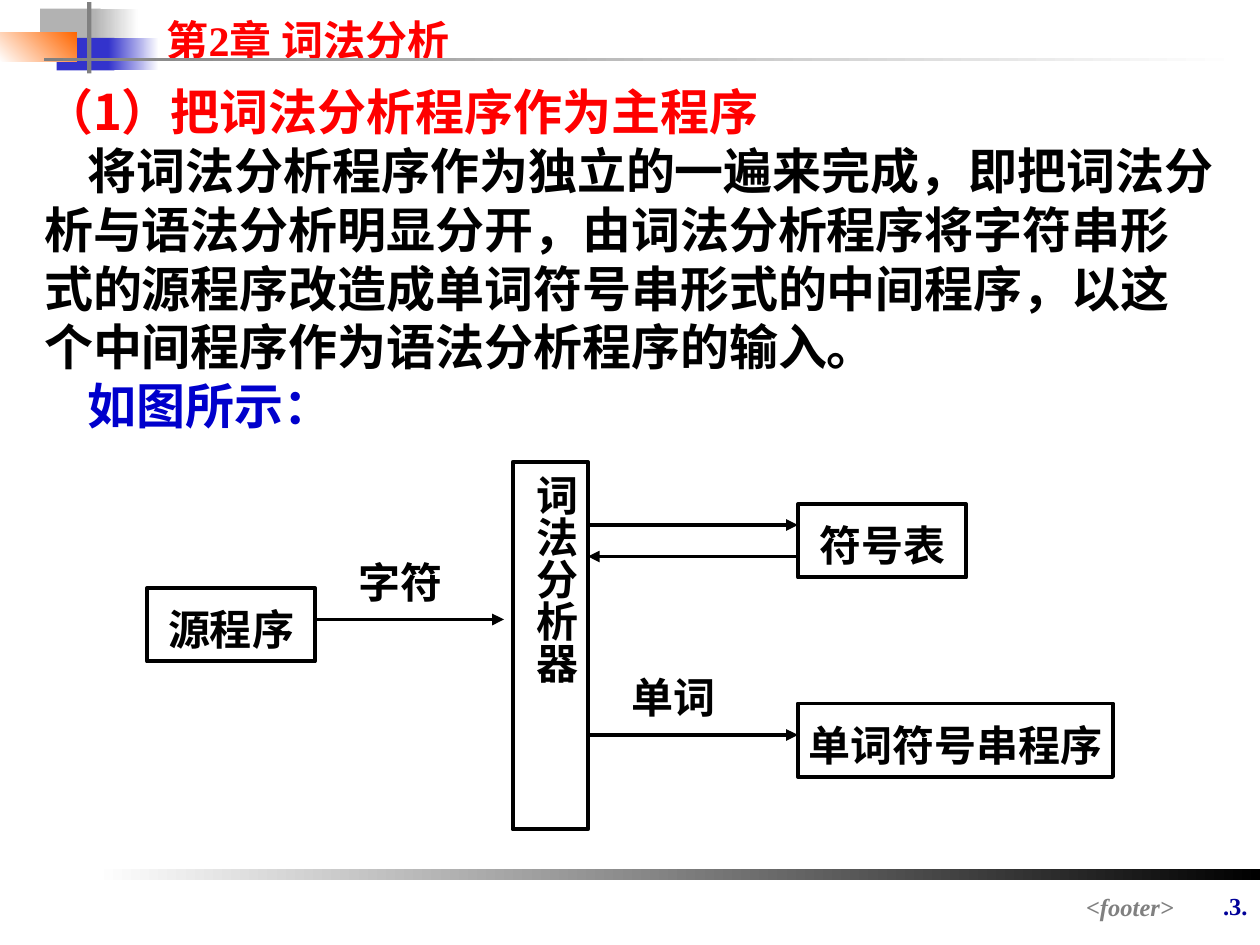
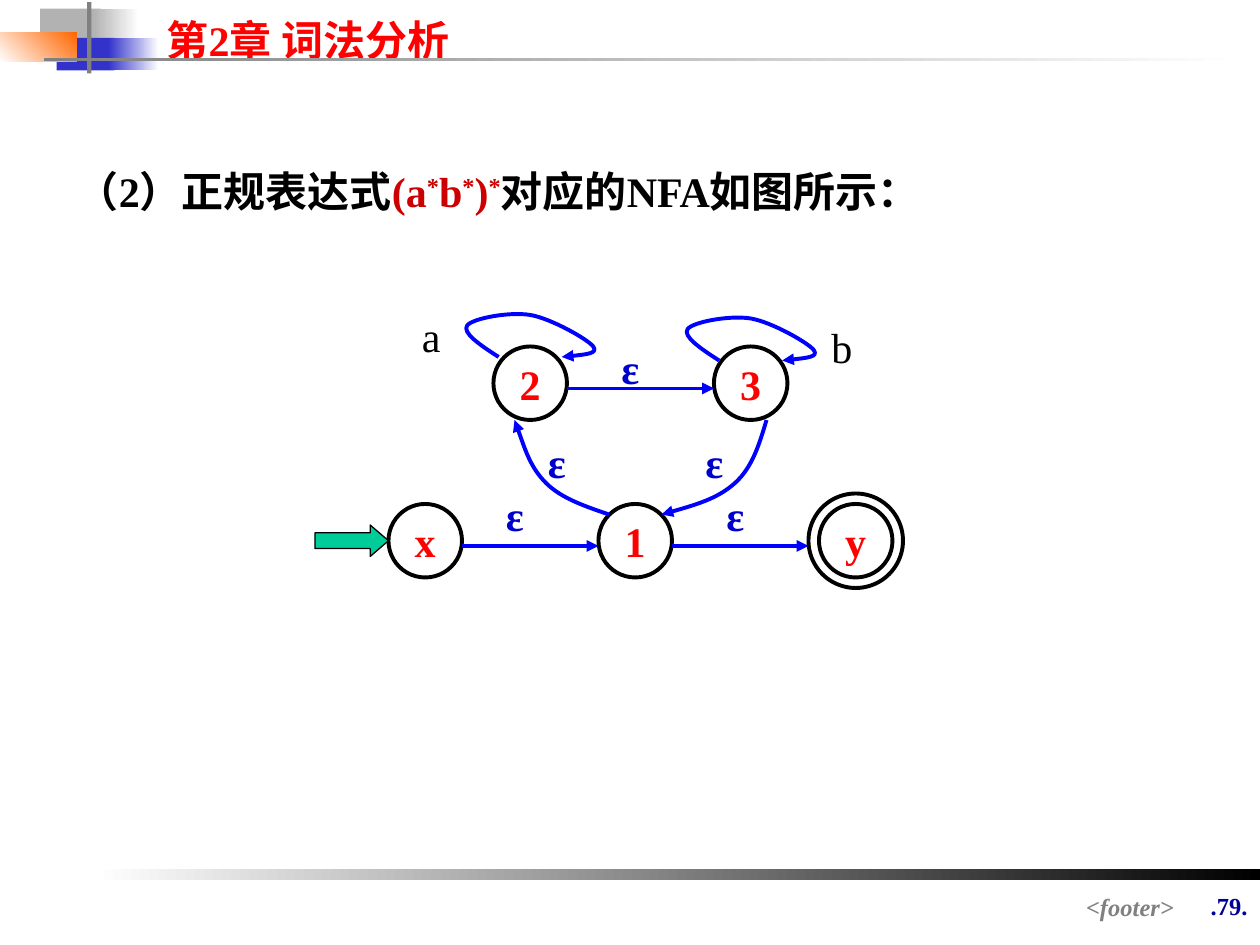
from pptx import Presentation
from pptx import util as u
from pptx.dml import color
from pptx.enum import shapes, text
from pptx.oxml import ns
from lxml import etree

COLORS = {
    "black": "000000", "white": "FFFFFF", "red": "FF0000", "dark red": "CC0000",
    "blue": "0000FF", "ink blue": "0000CC", "navy": "000099", "indigo": "3333CC",
    "orange": "FF6600", "gray": "808080", "silver": "B2B2B2", "green": "00CC99",
}
LATIN = "Times New Roman"
CHINESE = "Noto Sans CJK SC"
SHAPE = shapes.MSO_SHAPE
ALIGN = text.PP_ALIGN
ANCHOR = text.MSO_ANCHOR


def rgb(name):
    return color.RGBColor.from_string(COLORS[name])


def area(left, top, width, height):
    return [u.Pt(value) for value in (left, top, width, height)]


def add_xml(parent, tag, **attributes):
    return etree.SubElement(parent, ns.qn(tag), attributes)


def set_outline(shape, name, width=2.25):
    shape.line.color.rgb = rgb(name)
    shape.line.width = u.Pt(width)


def add_arrowhead(shape):
    line = shape.element.spPr.find(ns.qn("a:ln"))
    add_xml(line, "a:tailEnd", type="triangle")


def write_para(para, spans, name, size=24, align=ALIGN.LEFT, bold=True,
               italic=False, font=LATIN, indent=0):
    para.alignment = align
    para.line_spacing = u.Pt(size * 1.2)
    para.space_before = u.Pt(0)
    properties = para._p.get_or_add_pPr()
    properties.set("marL", "0")
    properties.set("indent", str(u.Pt(indent)))
    add_xml(properties, "a:buNone")
    para.font.size = u.Pt(size)
    para.font.bold = bold
    para.font.italic = italic
    para.font.color.rgb = rgb(name)
    para.font.name = font
    add_xml(properties.find(ns.qn("a:defRPr")), "a:ea", typeface=CHINESE)
    for words, span_color, raised in spans:
        span = para.add_run()
        span.text = words
        if span_color:
            span.font.color.rgb = rgb(span_color)
        if raised:
            span.font._element.set("baseline", "30000")


def set_frame(box, anchor=ANCHOR.TOP, wrap=True, drop=0):
    frame = box.text_frame
    frame.auto_size = text.MSO_AUTO_SIZE.NONE
    frame.word_wrap = wrap
    frame.vertical_anchor = anchor
    frame.margin_left = frame.margin_right = u.Pt(7.2)
    frame.margin_top = u.Pt(3.6 + drop)
    frame.margin_bottom = u.Pt(3.6 - drop)
    return frame


def add_label(page, place, words, name="black", drop=0, **style):
    box = page.shapes.add_textbox(*area(*place))
    frame = set_frame(box, drop=drop)
    write_para(frame.paragraphs[0], [(words, None, False)], name, **style)


def fill_placeholder(box, place, drop):
    box.left, box.top, box.width, box.height = area(*place)
    return set_frame(box, drop=drop)


def add_band(page, place, start, end=None, angle=180):
    band = page.shapes.add_shape(SHAPE.RECTANGLE, *area(*place))
    band.shadow.inherit = False
    band.line.fill.background()
    if end is None:
        band.fill.solid()
        band.fill.fore_color.rgb = rgb(start)
        return
    band.fill.gradient()
    band.fill.gradient_angle = angle
    for stop, name, position in zip(band.fill.gradient_stops, (start, end), (0, 1)):
        stop.color.rgb = rgb(name)
        stop.position = position


def add_node(page, kind, place, words="", name="black", drop=0):
    node = page.shapes.add_shape(kind, *area(*place))
    node.shadow.inherit = False
    node.fill.background()
    set_outline(node, "black")
    if words:
        frame = set_frame(node, ANCHOR.MIDDLE, False, drop)
        write_para(frame.paragraphs[0], [(words, None, False)], name, align=ALIGN.CENTER)
    return node


def add_arrow(page, start_x, end_x, y, name):
    arrow = page.shapes.add_connector(
        shapes.MSO_CONNECTOR.STRAIGHT, *area(start_x, y, end_x, y))
    set_outline(arrow, name)
    add_arrowhead(arrow)
    add_xml(arrow.element.spPr, "a:effectLst")


def add_curve(page, points, shift=(0, 0)):
    points = [(u.Pt(x + shift[0]), u.Pt(y + shift[1])) for x, y in points]
    builder = page.shapes.build_freeform(*points[0])
    builder.add_line_segments(points[1:], close=False)
    curve = builder.convert_to_shape()
    outline = curve.element.find(".//" + ns.qn("a:path"))
    segments = outline.findall(ns.qn("a:lnTo"))
    for first in range(0, len(segments), 3):
        bezier = add_xml(outline, "a:cubicBezTo")
        for segment in segments[first:first + 3]:
            bezier.append(segment[0])
            outline.remove(segment)
    curve.shadow.inherit = False
    curve.fill.background()
    set_outline(curve, "blue")
    add_arrowhead(curve)


def add_page(deck, number):
    page = deck.slides.add_slide(deck.slide_layouts[1])
    add_band(page, (23, 5, 34.5, 18.7), "silver")
    add_band(page, (53.3, 5, 26, 18.7), "white", "silver")
    add_band(page, (32.4, 21.6, 33, 18.7), "indigo")
    add_band(page, (62, 21.6, 28.8, 18.7), "white", "indigo")
    add_band(page, (0, 18.5, 44, 16.8), "orange", "white", 225)
    add_band(page, (49.8, 1.2, 2.4, 40.8), "gray")
    add_band(page, (25.2, 33.1, 684.7, 2), "white", "gray")
    add_band(page, (54, 496.8, 666, 5.8), "black", "white")
    title = fill_placeholder(page.shapes.title, (88, 2.2, 227, 36), 2.4)
    write_para(title.paragraphs[0], [("第2章 词法分析", None, False)], "red")
    add_label(page, (672, 505.4, 48, 34), f".{number}.", "navy",
              size=14, align=ALIGN.RIGHT)
    add_label(page, (190, 506.2, 488, 19), "<footer>", "gray",
              size=14, align=ALIGN.RIGHT, italic=True)
    return page


def build_main_program_page(deck):
    page = add_page(deck, 3)
    frame = fill_placeholder(page.placeholders[1], (18, 40.3, 684, 209), 2.8)
    paragraphs = [
        ("（1）把词法分析程序作为主程序", "red", 0),
        ("将词法分析程序作为独立的一遍来完成，即把词法分析与语法分析明显分开，"
         "由词法分析程序将字符串形式的源程序改造成单词符号串形式的中间程序，"
         "以这个中间程序作为语法分析程序的输入。", "black", 25),
        ("如图所示：", "ink blue", 25),
    ]
    for index, (words, name, indent) in enumerate(paragraphs):
        para = frame.add_paragraph() if index else frame.paragraphs[0]
        write_para(para, [(words, None, False)], name, size=28,
                   font=CHINESE, indent=indent)

    for words, left, top, width in [("源程序", 84, 336, 96), ("符号表", 456, 288, 96),
                                    ("单词符号串程序", 456, 402, 180)]:
        add_node(page, SHAPE.RECTANGLE, (left, top, width, 42), words, drop=2.4)

    analyser = add_node(page, SHAPE.RECTANGLE, (293, 264, 43, 210), "词法分析器")
    column = set_frame(analyser)
    column.margin_left = column.margin_right = u.Pt(3.6)
    column.margin_top = column.margin_bottom = u.Pt(7.2)
    column._txBody.bodyPr.set("vert", "eaVert")

    for start_x, end_x, y in [(180, 288, 354), (336, 456, 300),
                              (456, 336, 318), (336, 456, 420)]:
        add_arrow(page, start_x, end_x, y, "black")
    for words, left, top in [("字符", 198, 312), ("单词", 354, 378)]:
        add_label(page, (left, top, 72, 36), words, drop=2.4)


def build_nfa_page(deck):
    page = add_page(deck, 79)
    frame = fill_placeholder(page.placeholders[1], (36.7, 88.6, 643, 36), 2.4)
    expression = [(mark, "dark red", mark == "*") for mark in ("(a", "*", "b", "*", ")", "*")]
    spans = [("（2）正规表达式", None, False), *expression,
             ("对应的NFA如图所示：", None, False)]
    write_para(frame.paragraphs[0], spans, "black")

    for words, left, top in [("x", 222, 288), ("1", 342, 288), ("y", 468, 288),
                             ("2", 282, 198), ("3", 408, 198)]:
        add_node(page, SHAPE.OVAL, (left, top, 42, 42), words, "red")
    add_node(page, SHAPE.OVAL, (462, 282, 54, 54))

    entry = add_node(page, SHAPE.RIGHT_ARROW, (180, 300, 42, 18))
    entry.adjustments[1] = 0.58
    entry.fill.solid()
    entry.fill.fore_color.rgb = rgb("green")
    set_outline(entry, "black", 0.75)

    for start_x, end_x, y in [(264, 342, 312), (384, 462, 312), (324, 408, 222)]:
        add_arrow(page, start_x, end_x, y, "blue")
    loop = [(285, 204), (274, 197), (264, 190), (267, 186), (270, 182), (291, 178),
            (303, 180), (315, 182), (336, 194), (339, 198), (342, 202), (331.5, 203),
            (321, 204)]
    add_curve(page, loop)
    add_curve(page, loop, shift=(126, 2))
    add_curve(page, [(348, 294), (335, 289.5), (321, 285), (312, 276),
                     (303, 267), (299, 253.5), (294, 240)])
    add_curve(page, [(438, 240), (434, 253.5), (430, 267), (420, 276),
                     (410, 285), (394, 289.5), (378, 294)])

    for left, top in [(282, 276), (408, 276), (306, 246), (348, 192), (396, 246)]:
        add_label(page, (left, top, 30, 36), "ε", "ink blue")
    for words, left, top in [("a", 234, 174), ("b", 468, 180)]:
        add_label(page, (left, top, 30, 36), words, bold=False)


def main():
    deck = Presentation()
    deck.slide_width, deck.slide_height = u.Pt(720), u.Pt(540)
    build_main_program_page(deck)
    build_nfa_page(deck)
    deck.save("out.pptx")


if __name__ == "__main__":
    main()
